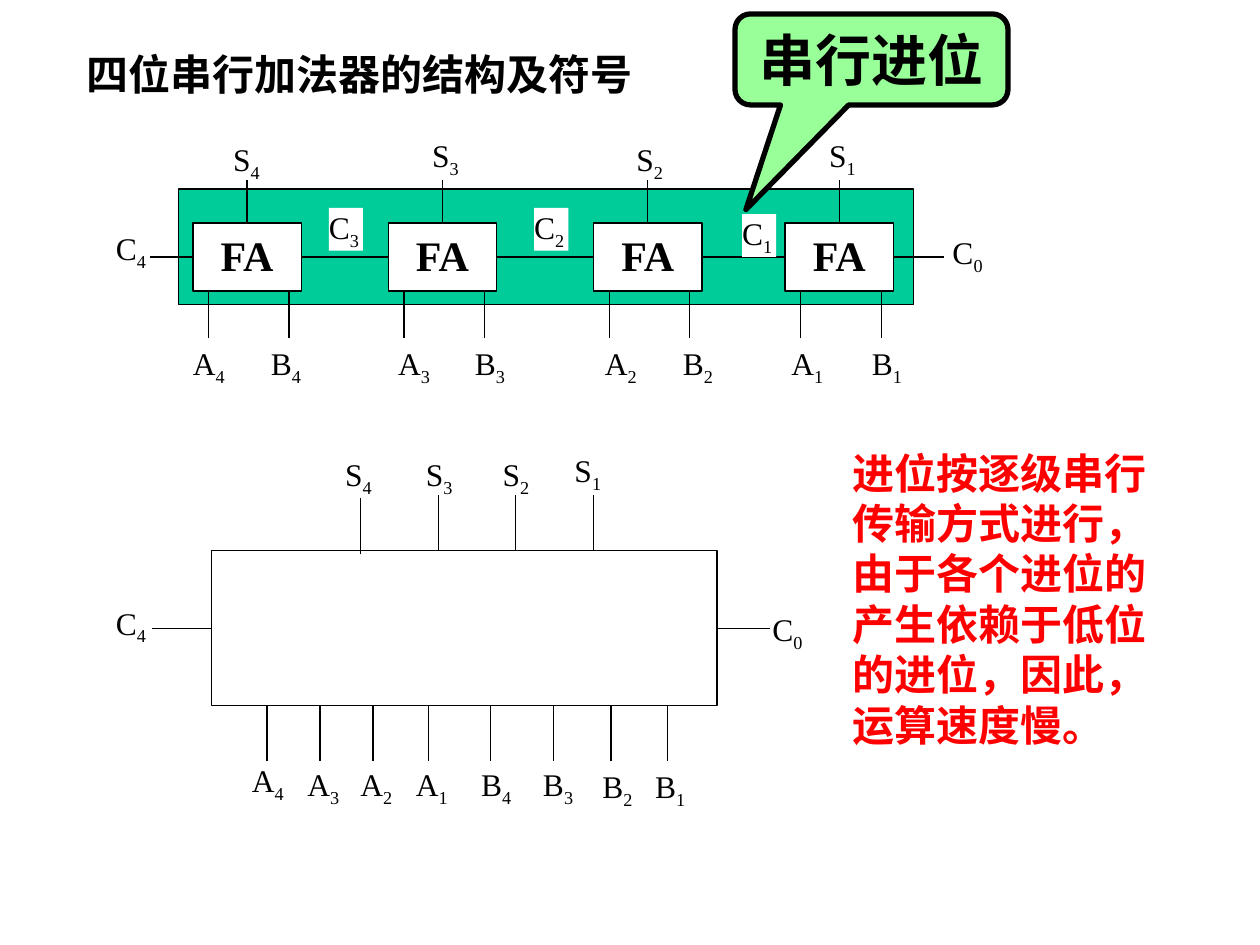
"""Build the slide on the structure and symbol of a four-bit serial adder."""
from lxml.etree import SubElement
from pptx import Presentation
from pptx.dml.color import RGBColor
from pptx.enum.shapes import MSO_CONNECTOR, MSO_SHAPE
from pptx.enum.text import MSO_ANCHOR as ANCHOR, MSO_AUTO_SIZE as FIT, PP_ALIGN as ALIGN
from pptx.oxml.ns import qn
from pptx.util import Pt

BLACK = RGBColor(0x00, 0x00, 0x00)
WHITE = RGBColor(0xFF, 0xFF, 0xFF)
TEAL = RGBColor(0x00, 0xCC, 0x99)
GREEN = RGBColor(0x99, 0xFF, 0x99)
RED = RGBColor(0xFF, 0x00, 0x00)
FONT = "Times New Roman"

TITLE = "四位串行加法器的结构及符号"
NOTE = "进位按逐级串行传输方式进行，由于各个进位的产生依赖于低位的进位，因此，运算速度慢。"
CALLOUT = "串行进位"

PANEL = (102.2, 108, 420, 66)
SYMBOL = (121, 314.6, 288.7, 88.6)
FA_LEFTS = (110.2, 221.8, 339.1, 448.6)
FA_TOP, FA_W, FA_H = 127.4, 62, 39
LEG_OFFSETS = (9, 55)
STEM_END, LEG_END = 103, 193
CARRY_LINE = (85.7, 146.9, 539.3, 146.9)
SYMBOL_CARRY_LINE = (87.1, 359.3, 439.9, 359.3)
SYMBOL_OUTPUTS = ((206, 284.4, 316.8), (250.6, 283, 314.6),
                  (294.5, 283, 314.6), (339.1, 283, 314.6))
SYMBOL_INPUTS = (152.6, 182.9, 213.1, 244.8, 280.1, 316.1, 349.2, 381.6)
SYMBOL_INPUT_END = 434.9

ADDER_LABELS = (
    ("S", "4321", (133.2, 247, 363.6, 473.8), (80, 77.8, 80, 77.8)),
    ("A", "4321", (110.2, 227.5, 345.6, 452.2), (196.6,) * 4),
    ("B", "4321", (154.8, 271.4, 390.2, 498.2), (196.6,) * 4),
    ("C", "43210", (66.2, 187.9, 305.3, 424.1, 544.3), (131, 118.8, 118.8, 122.4, 133.2)),
)
SYMBOL_LABELS = (
    ("S", "4321", (197.3, 243.4, 287.3, 328.3), (260, 260, 260, 257.8)),
    ("A", "4321", (144, 175.7, 205.9, 237.6), (434.9, 437, 437, 437)),
    ("B", "4321", (275, 310.3, 344.2, 374.4), (437, 437, 438.5, 438.5)),
    ("C", "40", (66.2, 441.4), (344.9, 348.5)),
)
LABEL_W, LABEL_H = 19.5, 24.5

prs = Presentation()
prs.slide_width, prs.slide_height = Pt(720), Pt(540)
s = prs.slides.add_slide(prs.slide_layouts[5])


def apply(obj, values):
    for name, value in values.items():
        setattr(obj, name, value)


def add_box(box, fill, line=None, kind=MSO_SHAPE.RECTANGLE):
    sp = s.shapes.add_shape(kind, *map(Pt, box))
    sp.shadow.inherit = False
    sp.fill.solid()
    sp.fill.fore_color.rgb = fill
    if line:
        sp.line.color.rgb = BLACK
        sp.line.width = Pt(line)
    else:
        sp.line.fill.background()
    return sp


def add_line(x1, y1, x2, y2):
    c = s.shapes.add_connector(MSO_CONNECTOR.STRAIGHT, *map(Pt, (x1, y1, x2, y2)))
    c.line.color.rgb = BLACK
    c.line.width = Pt(0.75)
    SubElement(c._element.spPr, qn("a:effectLst"))
    return c


def write(sp, text, size, bold=True, color=BLACK, align=ALIGN.LEFT, **frame):
    tf = sp.text_frame
    apply(tf, {"word_wrap": True, "vertical_anchor": ANCHOR.TOP, **frame})
    p = tf.paragraphs[0]
    p.alignment = align
    for i, part in enumerate(text):
        r = p.add_run()
        r.text = part
        apply(r.font, {"name": FONT, "size": Pt(size), "bold": bold})
        r.font.color.rgb = color
        if i:
            r.font._element.set("baseline", "-25000")


def add_labels(rows):
    margins = dict.fromkeys(("margin_left", "margin_top", "margin_right", "margin_bottom"), 0)
    for letter, digits, lefts, tops in rows:
        for digit, left, top in zip(digits, lefts, tops):
            width = 28 if digit == "0" else LABEL_W
            sp = add_box((left, top, width, LABEL_H), WHITE)
            write(sp, (letter, digit), 18, bold=False, align=ALIGN.JUSTIFY, **margins)


def place(sp, box):
    apply(sp, dict(zip(("left", "top", "width", "height"), map(Pt, box))))


place(s.shapes.title, (42, 24, 510, 36))
write(s.shapes.title, [TITLE], 24, auto_size=FIT.SHAPE_TO_FIT_TEXT)

add_box(PANEL, TEAL, 0.75)
add_line(*CARRY_LINE)
adders = [add_box((x, FA_TOP, FA_W, FA_H), WHITE, 0.75) for x in FA_LEFTS]
add_labels(ADDER_LABELS)
for x, fa in zip(FA_LEFTS, adders):
    write(fa, ["FA"], 24, align=ALIGN.CENTER)
    middle = x + FA_W / 2
    add_line(middle, FA_TOP, middle, STEM_END).begin_connect(fa, 0)
    for dx in LEG_OFFSETS:
        add_line(x + dx, FA_TOP + FA_H, x + dx, LEG_END)

add_labels(SYMBOL_LABELS)
add_line(*SYMBOL_CARRY_LINE)
add_box(SYMBOL, WHITE, 0.75)
for x, top, bottom in SYMBOL_OUTPUTS:
    add_line(x, bottom, x, top)
for x in SYMBOL_INPUTS:
    add_line(x, SYMBOL_INPUT_END, x, SYMBOL[1] + SYMBOL[3])

note = s.shapes.add_textbox(*map(Pt, (480, 252, 204, 180)))
write(note, [NOTE], 24, color=RED, auto_size=FIT.SHAPE_TO_FIT_TEXT)

callout = add_box((420, 8, 156, 52), GREEN, 3, MSO_SHAPE.ROUNDED_RECTANGULAR_CALLOUT)
for i, value in enumerate((-0.46, 1.65, 0.17)):
    callout.adjustments[i] = value
write(callout, [CALLOUT], 32, align=ALIGN.CENTER, word_wrap=False,
      vertical_anchor=ANCHOR.MIDDLE, auto_size=FIT.SHAPE_TO_FIT_TEXT)

prs.save("out.pptx")
